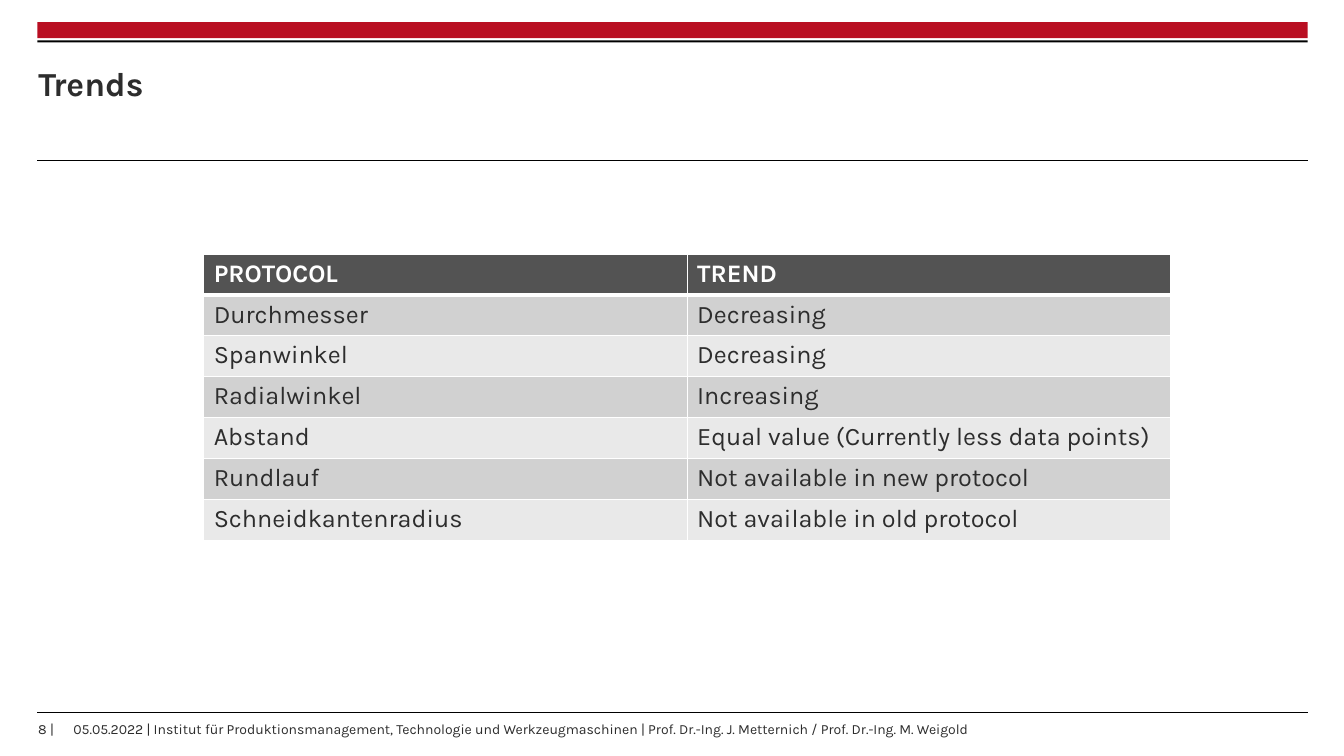
from lxml import etree
from pptx import Presentation
from pptx.dml.color import RGBColor
from pptx.enum.shapes import MSO_CONNECTOR, MSO_SHAPE
from pptx.enum.text import MSO_ANCHOR, MSO_AUTO_SIZE, PP_ALIGN
from pptx.oxml.ns import qn
from pptx.util import Inches, Pt

RECT, LINE = MSO_SHAPE.RECTANGLE, MSO_CONNECTOR.STRAIGHT
MIDDLE, LEFT, NO_FIT = MSO_ANCHOR.MIDDLE, PP_ALIGN.LEFT, MSO_AUTO_SIZE.NONE
RED = RGBColor(0xB9, 0x0F, 0x22)
BLACK = RGBColor(0, 0, 0)
WHITE = RGBColor(0xFF, 0xFF, 0xFF)
INK = RGBColor(0x2D, 0x2D, 0x2D)
HEAD = RGBColor(0x53, 0x53, 0x53)
BANDS = RGBColor(0xD1, 0xD1, 0xD1), RGBColor(0xE9, 0xE9, 0xE9)
FONT = "Karla"
WIDTH, HEIGHT = 13.33, 7.5
EDGE, SPAN = 0.37, 12.6

ROWS = [
    ("PROTOCOL", "TREND"),
    ("Durchmesser", "Decreasing"),
    ("Spanwinkel", "Decreasing"),
    ("Radialwinkel", "Increasing"),
    ("Abstand", "Equal value (Currently less data points)"),
    ("Rundlauf", "Not available in new protocol"),
    ("Schneidkantenradius", "Not available in old protocol"),
]
FOOTER = ("8 |\t05.05.2022 | Institut für Produktionsmanagement, "
          "Technologie und Werkzeugmaschinen | "
          "Prof. Dr.-Ing. J. Metternich / Prof. Dr.-Ing. M. Weigold")


def write(frame, text, size=18, color=INK, bold=False, spacing=None):
    para = frame.paragraphs[0]
    para.alignment = LEFT
    para.line_spacing = spacing
    run = para.add_run()
    run.text = text
    font = run.font
    font.name, font.size, font.bold = FONT, Pt(size), bold
    font.color.rgb = color
    return para


def add_bar(slide, box, color):
    bar = slide.shapes.add_shape(RECT, *map(Inches, box))
    bar.shadow.inherit = False
    bar.fill.solid()
    bar.fill.fore_color.rgb = color
    bar.line.fill.background()


def add_rule(slide, left, top, width):
    ends = map(Inches, (left, top, left + width, top))
    rule = slide.shapes.add_connector(LINE, *ends)
    rule.line.color.rgb = BLACK
    rule.line.width = Pt(0.6)
    etree.SubElement(rule._element.spPr, qn("a:effectLst"))


def add_header(slide, box):
    left, top, width, height = box
    add_bar(slide, (left, top, width, 0.16), RED)
    add_bar(slide, (left, top + 0.18, width, 0.02), BLACK)
    add_rule(slide, left, top + height, width)
    title = slide.shapes.title
    title.left, title.top = Inches(left + 0.01), Inches(top + 0.39)
    title.width, title.height = Inches(10.78), Inches(0.48)
    frame = title.text_frame
    frame.margin_left = 0
    frame.vertical_anchor = MIDDLE
    frame.auto_size = NO_FIT
    write(frame, "Trends", size=24, bold=True, spacing=0.9)


def add_footer(slide, box):
    left, top, width, height = box
    add_rule(slide, left, top, width)
    place = left - 0.09, top + 0.03, width + 0.08, height
    frame = slide.shapes.add_textbox(*map(Inches, place)).text_frame
    frame.word_wrap = True
    para = write(frame, FOOTER, size=10)
    tabs = etree.SubElement(para._p.get_or_add_pPr(), qn("a:tabLst"))
    etree.SubElement(tabs, qn("a:tab"), pos=str(Inches(0.35)), algn="l")


def set_edges(cell, **widths):
    """Draw white cell borders, with widths in points by side (L, R, T, B)."""
    props = cell._tc.get_or_add_tcPr()
    for side, width in widths.items():
        edge = etree.SubElement(props, qn("a:ln" + side), w=str(Pt(width)))
        fill = etree.SubElement(edge, qn("a:solidFill"))
        etree.SubElement(fill, qn("a:srgbClr"), val=str(WHITE))


def add_trends(slide, box):
    count, cols = len(ROWS), len(ROWS[0])
    table = slide.shapes.add_table(count, cols, *map(Inches, box)).table
    for r, texts in enumerate(ROWS):
        first = r == 0
        for c, text in enumerate(texts):
            cell = table.cell(r, c)
            set_edges(cell, L=1, R=1, T=3 if r == 1 else 1, B=3 if first else 1)
            cell.fill.solid()
            cell.fill.fore_color.rgb = HEAD if first else BANDS[(r - 1) % 2]
            write(cell.text_frame, text, color=WHITE if first else INK, bold=first)


def main():
    deck = Presentation()
    deck.slide_width, deck.slide_height = Inches(WIDTH), Inches(HEIGHT)
    slide = deck.slides.add_slide(deck.slide_layouts[5])
    add_header(slide, (EDGE, 0.22, SPAN, 1.37))
    add_footer(slide, (EDGE, 7.07, SPAN, 0.28))
    add_trends(slide, (2.02, 2.52, 9.59, 2.84))
    deck.save("out.pptx")


if __name__ == "__main__":
    main()
